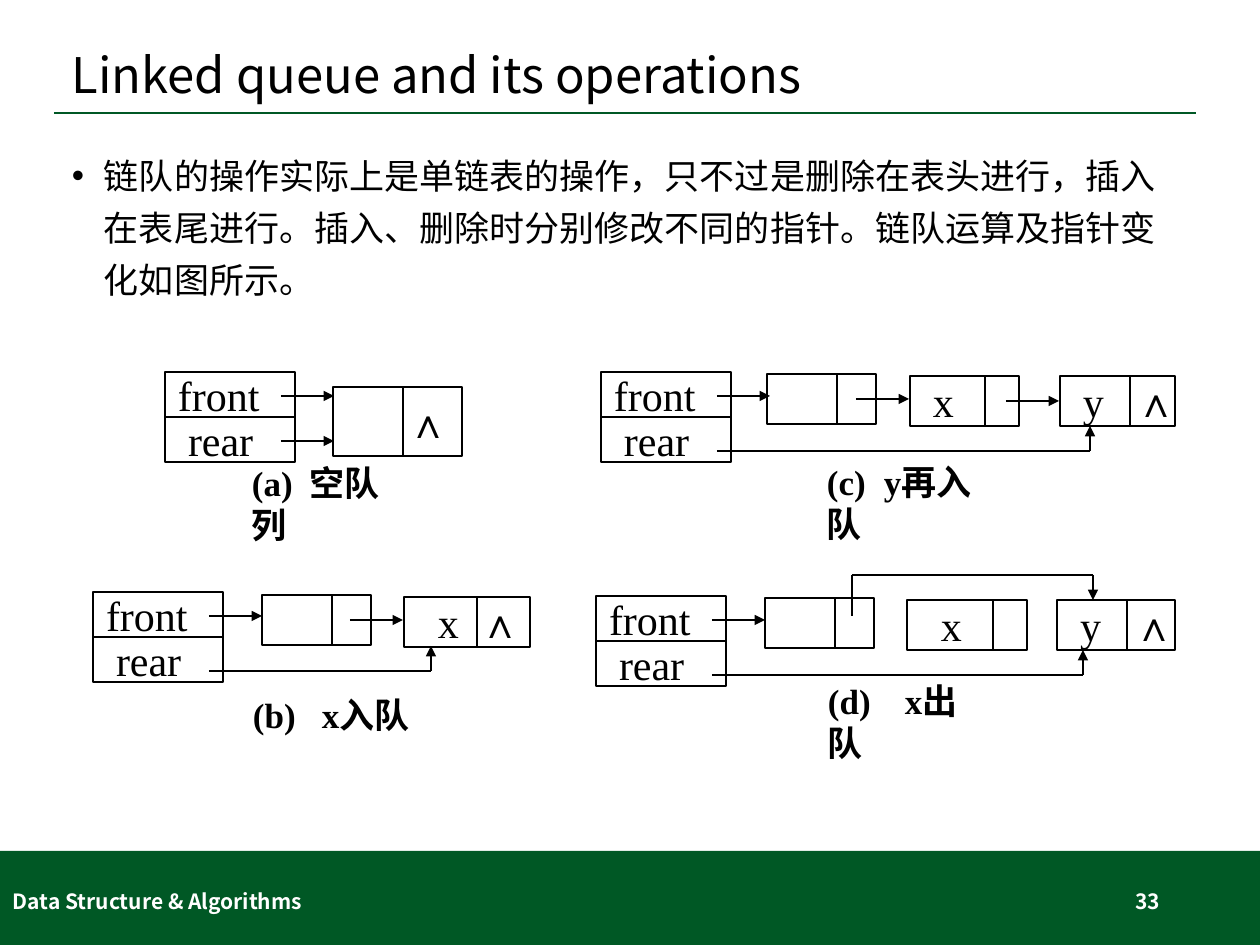
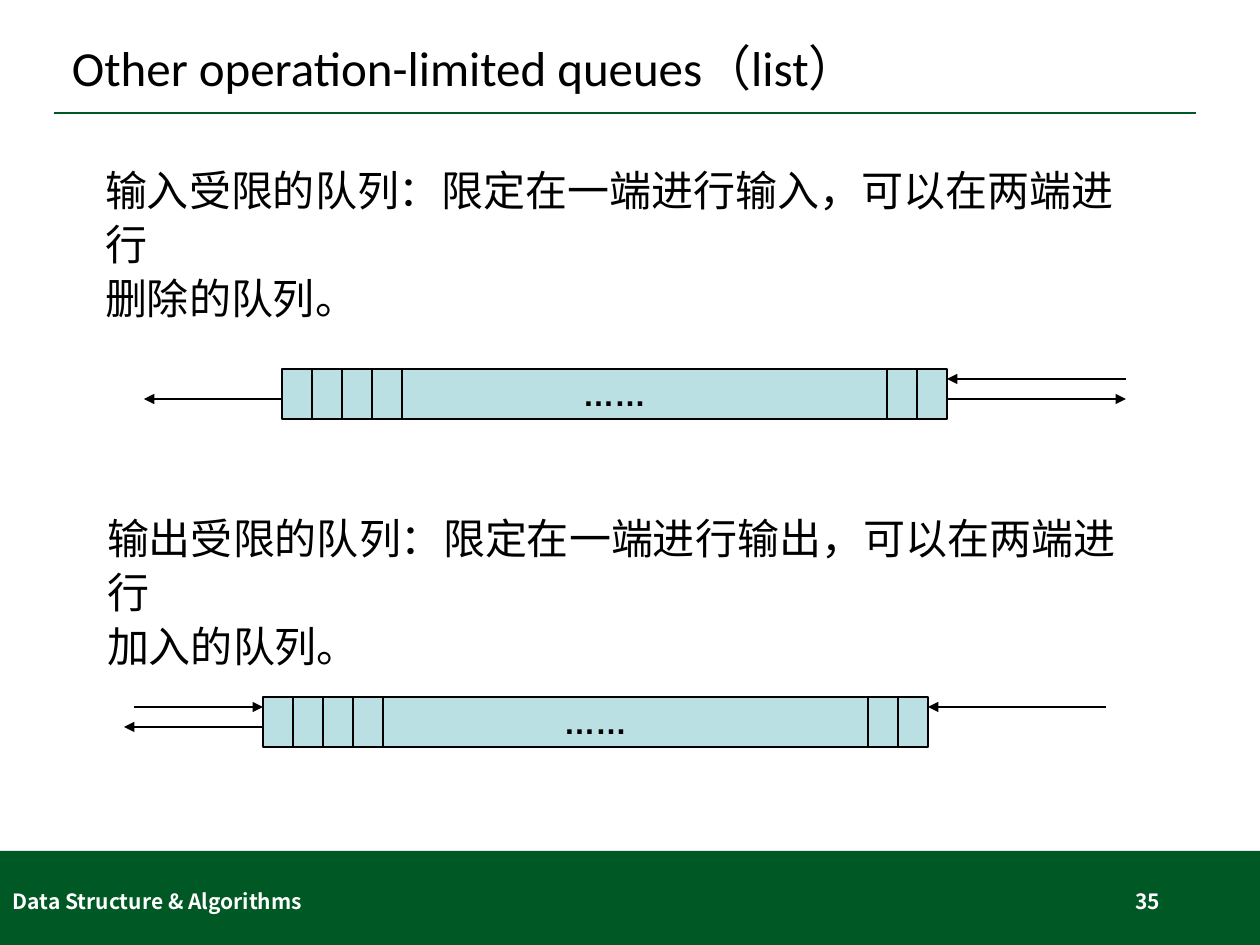
from lxml import etree
from pptx import Presentation
from pptx.dml.color import RGBColor
from pptx.enum.shapes import MSO_CONNECTOR, MSO_SHAPE
from pptx.enum.text import MSO_ANCHOR, PP_ALIGN
from pptx.oxml.ns import qn
from pptx.util import Emu, Pt

EMU_PER_PX = 914400 / 126
STRAIGHT = MSO_CONNECTOR.STRAIGHT
RECTANGLE = MSO_SHAPE.RECTANGLE
TOP, MIDDLE = MSO_ANCHOR.TOP, MSO_ANCHOR.MIDDLE
LEFT, CENTER, RIGHT = PP_ALIGN.LEFT, PP_ALIGN.CENTER, PP_ALIGN.RIGHT

GREEN = RGBColor(0x00, 0x58, 0x25)
PALE_BLUE = RGBColor(0xBB, 0xE0, 0xE3)
BLACK = RGBColor(0x00, 0x00, 0x00)
WHITE = RGBColor(0xFF, 0xFF, 0xFF)

SANS = "Noto Sans CJK SC"
SERIF = "Times New Roman"
ARIAL = "Arial"
CALIBRI = "Calibri"

INSET = 13
THIN, THICK = 0.75, 1.5
POINTER_WIDTH, POINTER_HEIGHT = 130, 45
POINTER_EXIT = 116
NODE_HEIGHT = 50
BAR_WIDTH, BAR_HEIGHT, CELL = 665, 50, 30


def px(length):
    return Emu(round(length * EMU_PER_PX))


# Basic elements
def write(box, lines, size, font, color=BLACK, bold=False, align=LEFT, anchor=MIDDLE,
          spacing=None, inset=INSET, tab=None, bullet=None, wrap=False, asian=SANS):
    frame = box.text_frame
    frame.word_wrap = wrap
    frame.vertical_anchor = anchor
    frame.margin_left, frame.margin_right = px(inset), px(INSET)
    for index, line in enumerate(lines):
        para = frame.add_paragraph() if index else frame.paragraphs[0]
        para.alignment = align
        if spacing:
            para.line_spacing = spacing
        properties = para._p.get_or_add_pPr()
        if bullet:
            properties.set("marL", str(px(bullet)))
            properties.set("indent", str(-px(bullet)))
            etree.SubElement(properties, qn("a:buFont"), typeface=ARIAL)
            etree.SubElement(properties, qn("a:buChar"), char="•")
        if tab:
            tabs = etree.SubElement(properties, qn("a:tabLst"))
            etree.SubElement(tabs, qn("a:tab"), pos=str(px(tab)), algn="l")
        span = para.add_run()
        span.text = line
        span.font.size, span.font.name = Pt(size), font
        span.font.bold = bold
        span.font.color.rgb = color
        etree.SubElement(span._r.get_or_add_rPr(), qn("a:ea"), typeface=asian)


def add_text(page, left, top, width, height, lines, size, font, **style):
    box = page.shapes.add_textbox(px(left), px(top), px(width), px(height))
    write(box, lines, size, font, **style)


def add_box(page, left, top, width, height, fill=None, line=BLACK):
    box = page.shapes.add_shape(RECTANGLE, px(left), px(top), px(width), px(height))
    box.shadow.inherit = False
    if fill is None:
        box.fill.background()
    else:
        box.fill.solid()
        box.fill.fore_color.rgb = fill
    if line is None:
        box.line.fill.background()
    else:
        box.line.color.rgb = line
        box.line.width = Pt(THIN)
    return box


def add_line(page, x1, y1, x2, y2, weight=THIN, arrow=False, color=BLACK):
    line = page.shapes.add_connector(STRAIGHT, px(x1), px(y1), px(x2), px(y2))
    line.line.color.rgb = color
    line.line.width = Pt(weight)
    if arrow:
        etree.SubElement(line.line._get_or_add_ln(), qn("a:tailEnd"), type="triangle")
    etree.SubElement(line._element.spPr, qn("a:effectLst"))


# Frame shared by the slides
def add_page(deck, title, title_font, title_spacing, number):
    page = deck.slides.add_slide(deck.slide_layouts[6])
    add_box(page, 0, 851, 1260, 94, fill=GREEN, line=None)
    add_line(page, 54, 113, 1196, 113, weight=1, color=GREEN)
    add_text(page, 59, 29, 1142, 83, [title], 28, title_font,
             spacing=title_spacing, wrap=True)
    footer = dict(size=12, font=SANS, color=WHITE, bold=True, wrap=True)
    add_text(page, 0, 876, 426, 50, ["Data Structure & Algorithms"], **footer)
    add_text(page, 890, 876, 283, 50, [number], align=RIGHT, **footer)
    return page


# Linked queue parts
def add_pointers(page, left, top):
    for row, name in enumerate(("front", "rear")):
        box = add_box(page, left, top + row * POINTER_HEIGHT,
                      POINTER_WIDTH, POINTER_HEIGHT)
        write(box, [name], 24, SERIF, inset=INSET + row * 10)
    add_link(page, left + POINTER_EXIT, top + 24)


def add_link(page, left, y):
    add_line(page, left, y, left + 53, y, weight=THICK, arrow=True)


def add_rear_link(page, left, top, target):
    y = top + 79
    add_line(page, left + POINTER_EXIT, y, target, y, weight=THICK)
    add_line(page, target, y, target, y - 25, arrow=True)


def add_node(page, left, top, width, divider, text="", inset=INSET, tab=None,
             height=NODE_HEIGHT):
    box = add_box(page, left, top, width, height)
    if text:
        write(box, [text], 24, SERIF, inset=inset, tab=tab)
    add_line(page, left + divider, top, left + divider, top + height)


def add_caption(page, left, top, letter, name, gap):
    add_text(page, left, top, 188, 54, [f"({letter})\t{name}"], 20, SERIF,
             bold=True, tab=gap)


# Limited queue parts
def add_bar(page, left, top):
    bar = add_box(page, left, top, BAR_WIDTH, BAR_HEIGHT, fill=PALE_BLUE)
    write(bar, ["……"], 18, ARIAL, bold=True, align=CENTER, asian=ARIAL)
    for cells in (1, 2, 3, 4, -2, -1):
        x = left + cells * CELL + (BAR_WIDTH if cells < 0 else 0)
        add_line(page, x, top, x, top + BAR_HEIGHT)


def add_definition(page, left, top, lines):
    add_text(page, left, top, 1075, 144, lines, 24, ARIAL, anchor=TOP, spacing=1.07)


def build_linked_queue(deck):
    page = add_page(deck, "Linked queue and its operations", SANS, 1.1, "33")
    add_text(page, 59, 138, 1142, 210,
             ["链队的操作实际上是单链表的操作，只不过是删除在表头进行，插入在表尾进行。"
              "插入、删除时分别修改不同的指针。链队运算及指针变化如图所示。"],
             20, SANS, anchor=TOP, spacing=1.24, bullet=32, wrap=True)

    # (a) empty queue
    add_pointers(page, 165, 372)
    add_link(page, 281, 441)
    add_node(page, 333, 387, 129, 70, "∧", inset=75, height=69)
    add_caption(page, 239, 476, "a", "空队列", 58)

    # (b) x joins
    add_pointers(page, 93, 592)
    add_node(page, 262, 595, 109, 70)
    add_link(page, 350, 620)
    add_node(page, 404, 597, 126, 73, "x\t∧", inset=34, tab=42)
    add_rear_link(page, 93, 592, 431)
    add_caption(page, 240, 687, "b", "x入队", 69)

    # (c) y joins
    add_pointers(page, 601, 372)
    add_node(page, 767, 374, 109, 70)
    add_link(page, 856, 399)
    add_node(page, 910, 376, 109, 75, "x", inset=23)
    add_link(page, 1006, 401)
    add_node(page, 1060, 376, 115, 70, "y\t∧", inset=23, tab=53)
    add_rear_link(page, 601, 372, 1090)
    add_caption(page, 814, 475, "c", "y再入队", 57)

    # (d) x leaves
    add_pointers(page, 596, 596)
    add_node(page, 765, 598, 109, 70)
    add_node(page, 907, 600, 120, 86, "x", inset=34)
    add_node(page, 1057, 600, 118, 70, "y\t∧", inset=23, tab=53)
    add_rear_link(page, 596, 596, 1083)
    add_line(page, 852, 616, 852, 575)
    add_line(page, 852, 575, 1093, 575)
    add_line(page, 1093, 575, 1093, 600, arrow=True)
    add_caption(page, 815, 694, "d", "x出队", 77)


def build_limited_queues(deck):
    page = add_page(deck, "Other operation-limited queues（list）", CALIBRI, 0.9, "35")

    # Input at one end only
    add_definition(page, 92, 155, ["输入受限的队列：限定在一端进行输入，可以在两端进行",
                                   "删除的队列。"])
    add_bar(page, 282, 369)
    add_line(page, 282, 399, 144, 399, arrow=True)
    add_line(page, 947, 399, 1126, 399, arrow=True)
    add_line(page, 1126, 379, 947, 379, arrow=True)

    # Output at one end only
    add_definition(page, 94, 503, ["输出受限的队列：限定在一端进行输出，可以在两端进行",
                                   "加入的队列。"])
    add_bar(page, 263, 697)
    add_line(page, 263, 727, 124, 727, arrow=True)
    add_line(page, 134, 707, 263, 707, arrow=True)
    add_line(page, 1106, 707, 928, 707, arrow=True)


def main():
    deck = Presentation()
    deck.slide_width, deck.slide_height = px(1260), px(945)
    build_linked_queue(deck)
    build_limited_queues(deck)
    deck.save("out.pptx")


if __name__ == "__main__":
    main()
